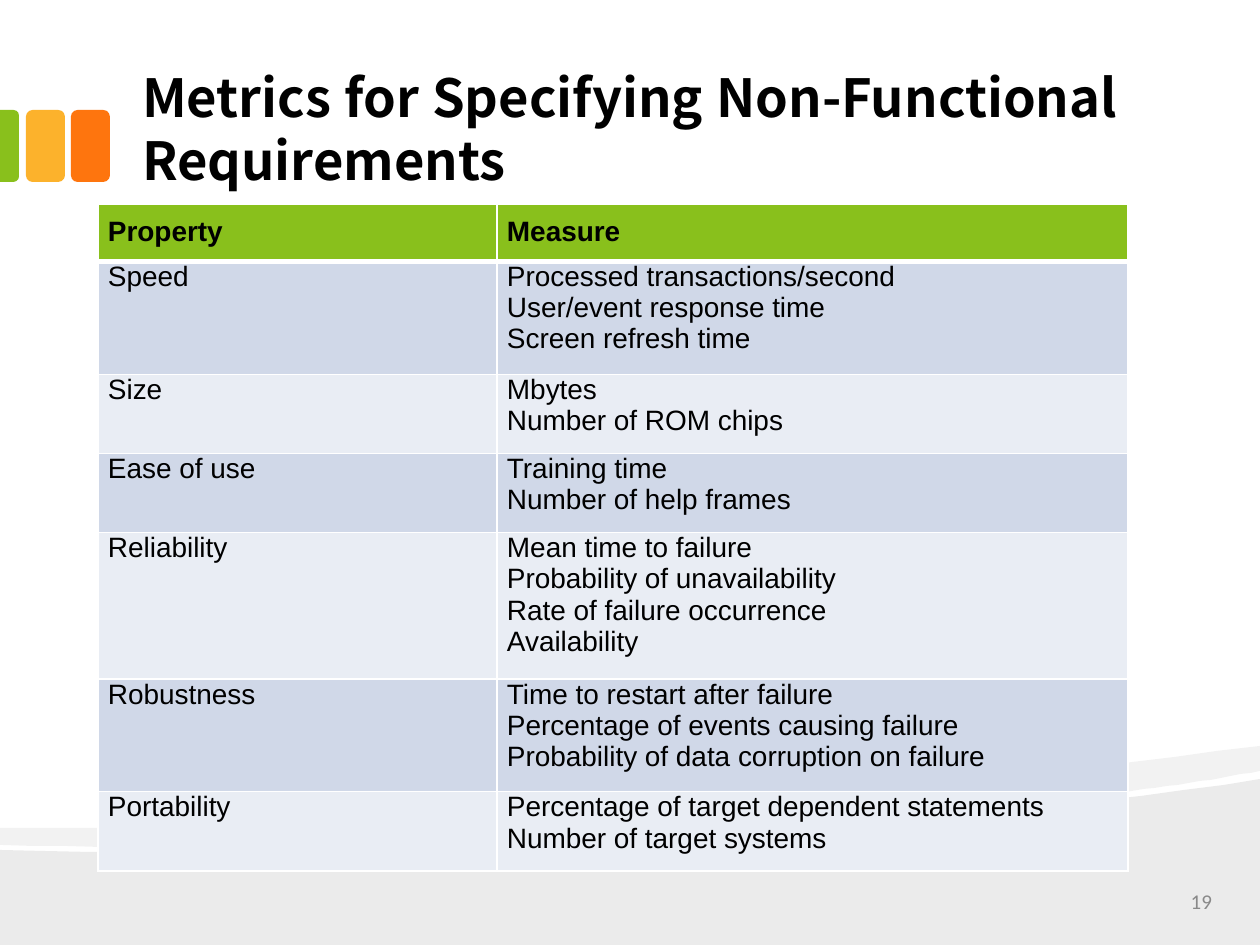
from typing import NamedTuple

from lxml.etree import SubElement
from pptx import Presentation
from pptx.dml.color import RGBColor
from pptx.enum.shapes import MSO_SHAPE
from pptx.enum.text import MSO_ANCHOR, PP_ALIGN
from pptx.oxml.ns import qn
from pptx.util import Emu, Pt

BLACK = RGBColor(0x00, 0x00, 0x00)
WHITE = RGBColor(0xFF, 0xFF, 0xFF)
GREEN = RGBColor(0x89, 0xC0, 0x1C)
AMBER = RGBColor(0xFC, 0xB2, 0x2C)
ORANGE = RGBColor(0xFE, 0x75, 0x0E)
GREY = RGBColor(0x89, 0x89, 0x89)
BAND_DARK = RGBColor(0xD0, 0xD8, 0xE8)
BAND_LIGHT = RGBColor(0xE9, 0xED, 0xF4)

PX_PER_INCH = 126
CURVE_STEPS = 24

Point = tuple[float, float]


class Tab(NamedTuple):
    preset: MSO_SHAPE
    x: float
    y: float
    w: int
    h: int
    rotation: int
    color: RGBColor


class Metric(NamedTuple):
    name: str
    measures: list[str]
    height: int


TABS = [
    Tab(MSO_SHAPE.ROUNDED_RECTANGLE, 71, 110, 39, 72, 0, ORANGE),
    Tab(MSO_SHAPE.ROUNDED_RECTANGLE, 26, 110, 39, 72, 0, AMBER),
    Tab(MSO_SHAPE.ROUND_2_SAME_RECTANGLE, -26.5, 136.5, 72, 19, 90, GREEN),
]

METRICS = [
    Metric("Property", ["Measure"], 56),
    Metric("Speed", ["Processed transactions/second", "User/event response time",
                     "Screen refresh time"], 108),
    Metric("Size", ["Mbytes", "Number of ROM chips"], 77),
    Metric("Ease of use", ["Training time", "Number of help frames"], 76),
    Metric("Reliability", ["Mean time to failure", "Probability of unavailability",
                           "Rate of failure occurrence", "Availability"], 141),
    Metric("Robustness", ["Time to restart after failure",
                          "Percentage of events causing failure",
                          "Probability of data corruption on failure"], 108),
    Metric("Portability", ["Percentage of target dependent statements",
                           "Number of target systems"], 77),
]
COLUMN_WIDTHS = [399, 631]


def px(n: float) -> Emu:
    return Emu(round(n * 914400 / PX_PER_INCH))


def curve(a: Point, b: Point, c: Point, d: Point) -> list[Point]:
    """Points along a cubic Bezier curve."""
    points = []
    for i in range(CURVE_STEPS + 1):
        t = i / CURVE_STEPS
        weights = ((1 - t) ** 3, 3 * t * (1 - t) ** 2, 3 * t * t * (1 - t), t ** 3)
        points.append(tuple(sum(k * v for k, v in zip(weights, axis))
                            for axis in zip(a, b, c, d)))
    return points


def paint(sp, color: RGBColor) -> None:
    sp.shadow.inherit = False
    sp.fill.solid()
    sp.fill.fore_color.rgb = color
    sp.line.fill.background()


def add_wave(slide, points: list[Point], alpha: int) -> None:
    builder = slide.shapes.build_freeform(*points[0], scale=914400 / PX_PER_INCH)
    builder.add_line_segments(points[1:], close=True)
    sp = builder.convert_to_shape()
    paint(sp, BLACK)
    color = sp.fill._xPr.find(qn("a:solidFill"))[0]
    SubElement(color, qn("a:alpha"), val=str(alpha * 1000))


def add_tab(slide, tab: Tab) -> None:
    sp = slide.shapes.add_shape(tab.preset, px(tab.x), px(tab.y), px(tab.w), px(tab.h))
    sp.rotation = tab.rotation
    if tab.preset == MSO_SHAPE.ROUND_2_SAME_RECTANGLE:
        sp.adjustments[0] = 0.29
    paint(sp, tab.color)


def add_text(p, text: str, font: str, size: int, color: RGBColor,
             align: PP_ALIGN, bold: bool = False) -> None:
    p.alignment = align
    r = p.add_run()
    r.text = text
    r.font.name, r.font.size, r.font.bold = font, Pt(size), bold
    r.font.color.rgb = color


def set_frame(tf, anchor: MSO_ANCHOR) -> None:
    tf.word_wrap = True
    tf.vertical_anchor = anchor
    tf.margin_left = tf.margin_right = px(16)
    tf.margin_top = tf.margin_bottom = px(9)


def set_borders(cell, top: int, bottom: int) -> None:
    tcPr = cell._tc.get_or_add_tcPr()
    for side, width in (("L", 1), ("R", 1), ("T", top), ("B", bottom)):
        ln = SubElement(tcPr, qn(f"a:ln{side}"), w=str(Pt(width)))
        fill = SubElement(ln, qn("a:solidFill"))
        SubElement(fill, qn("a:srgbClr"), val=str(WHITE))


def fill_cell(cell, lines: list[str], row: int) -> None:
    header = row == 0
    set_borders(cell, top=3 if row == 1 else 1, bottom=3 if header else 1)
    cell.fill.solid()
    cell.fill.fore_color.rgb = GREEN if header else (BAND_LIGHT, BAND_DARK)[row % 2]
    cell.margin_left = cell.margin_right = px(10)
    cell.margin_top = px(12 if header else 0)
    cell.margin_bottom = px(12)
    tf = cell.text_frame
    for i, line in enumerate(lines):
        p = tf.add_paragraph() if i else tf.paragraphs[0]
        add_text(p, line, "Arial", 16, BLACK, PP_ALIGN.JUSTIFY, bold=header)


def add_metrics(slide) -> None:
    frame = slide.shapes.add_table(
        len(METRICS), len(COLUMN_WIDTHS), px(98), px(204),
        px(sum(COLUMN_WIDTHS)), px(sum(m.height for m in METRICS)))
    table = frame.table
    table.horz_banding = False
    for column, width in zip(table.columns, COLUMN_WIDTHS):
        column.width = px(width)
    for row, metric in enumerate(METRICS):
        table.rows[row].height = px(metric.height)
        fill_cell(table.cell(row, 0), [metric.name], row)
        fill_cell(table.cell(row, 1), metric.measures, row)


def main() -> None:
    prs = Presentation()
    prs.slide_width, prs.slide_height = px(1260), px(945)
    slide = prs.slides.add_slide(prs.slide_layouts[5])

    # Waves along the bottom
    add_wave(slide, [(1260, 945), (0, 945)]
             + curve((0, 850), (333, 861), (985, 825), (1260, 779)), alpha=8)
    add_wave(slide, [(1260, 746)]
             + curve((1260, 771), (1187, 785), (1086, 798), (973, 808))
             + curve((973, 808), (659, 835), (243, 853), (0, 845))
             + curve((0, 828), (616, 834), (917, 790), (1260, 746)), alpha=5)

    # Coloured tabs at the left edge
    for tab in TABS:
        add_tab(slide, tab)

    # Title
    title = slide.shapes.title
    title.left, title.top, title.width, title.height = px(126), px(21), px(1008), px(179)
    set_frame(title.text_frame, MSO_ANCHOR.BOTTOM)
    p = title.text_frame.paragraphs[0]
    p.line_spacing = 1.0
    add_text(p, "Metrics for Specifying Non-Functional Requirements",
             "Noto Sans CJK JP", 30, BLACK, PP_ALIGN.JUSTIFY, bold=True)

    # Page number
    number = slide.shapes.add_textbox(px(1144), px(888), px(84), px(26))
    set_frame(number.text_frame, MSO_ANCHOR.MIDDLE)
    add_text(number.text_frame.paragraphs[0], "19", "Calibri", 12, GREY, PP_ALIGN.RIGHT)

    add_metrics(slide)
    prs.save("out.pptx")


if __name__ == "__main__":
    main()
